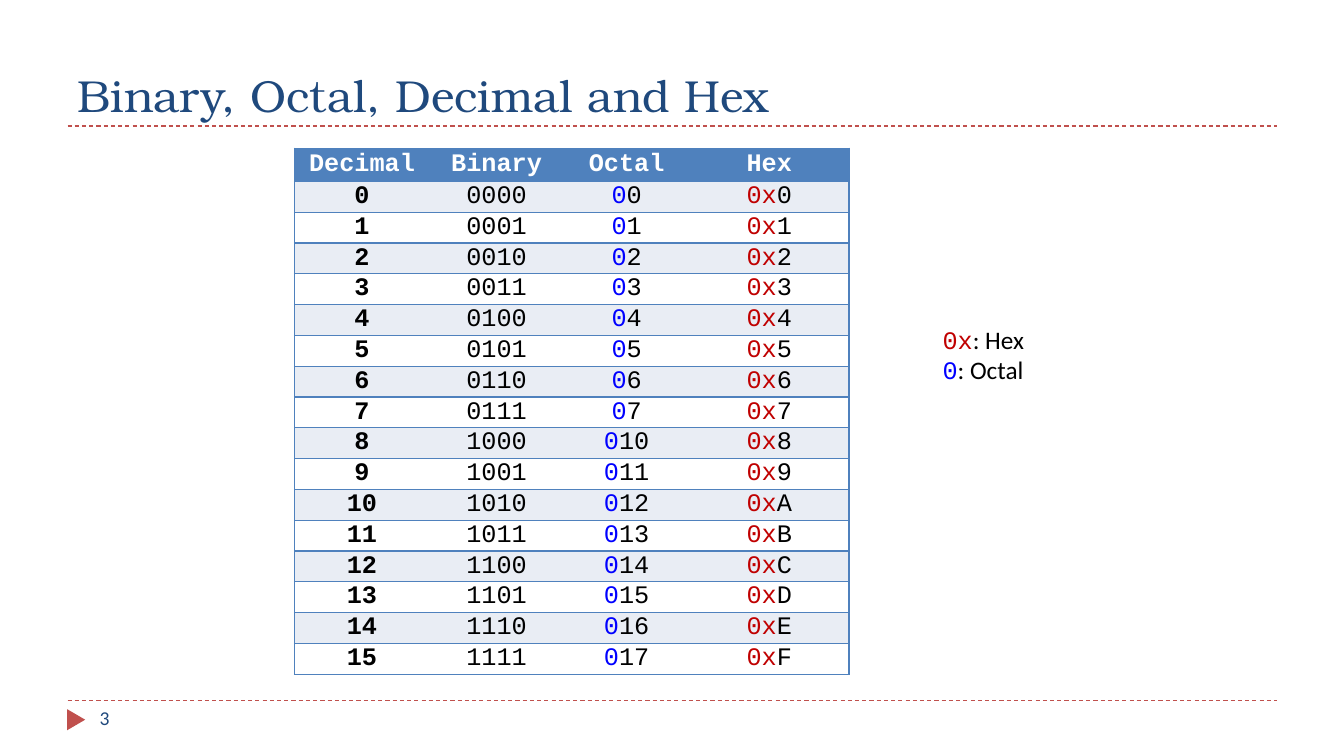
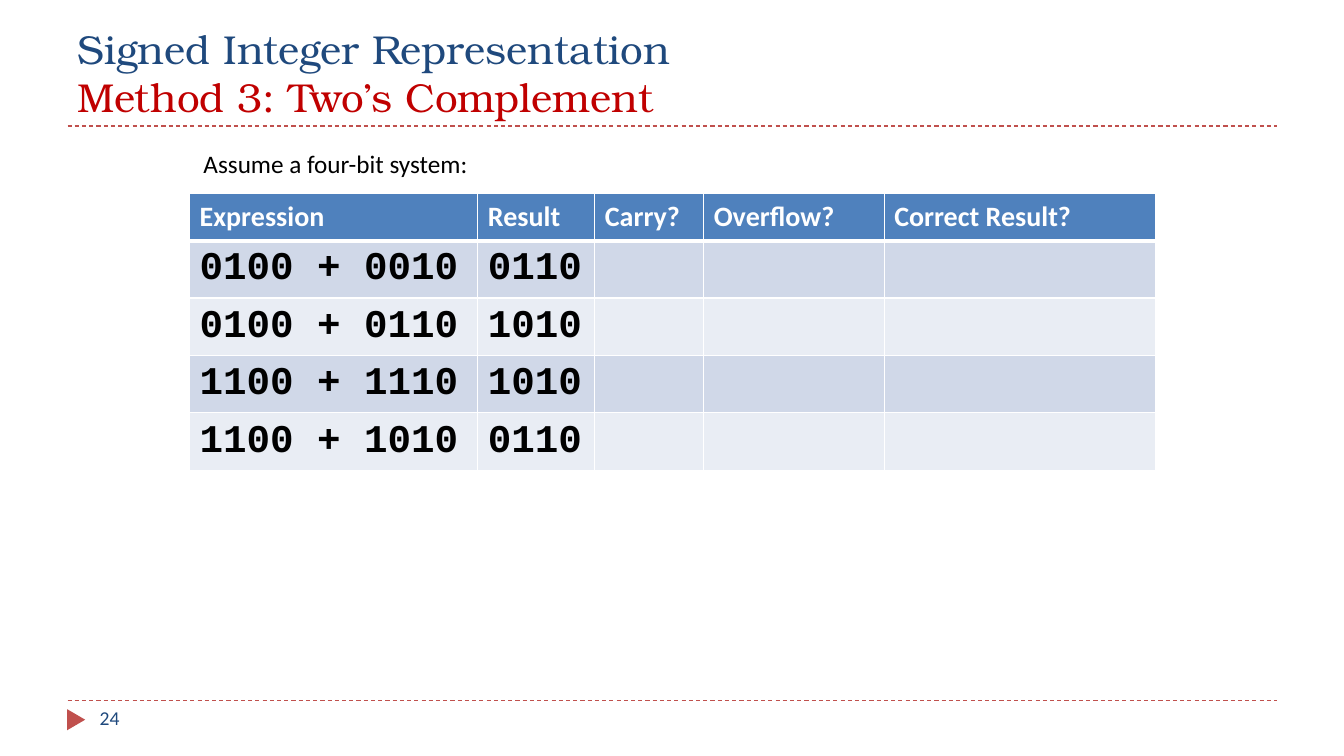
"""Build two slides on number systems and two's complement."""
import pptx
import pptx.dml.color
import pptx.enum.dml
import pptx.enum.shapes
import pptx.enum.text
import pptx.oxml
import pptx.oxml.ns
import pptx.util

Inches = pptx.util.Inches
Pt = pptx.util.Pt
ALIGN = pptx.enum.text.PP_ALIGN
ANCHOR = pptx.enum.text.MSO_ANCHOR

HUES = {
    "navy": "1F497D", "rule": "C0504D", "red": "C00000", "blue": "0000FF",
    "head": "4F81BD", "pale": "E9EDF4", "band": "D0D8E8",
    "white": "FFFFFF", "black": "000000",
}
SERIF, SANS, MONO = "TeX Gyre Bonum", "Calibri", "Courier New"
STYLES = {
    "title": (SERIF, 32, "navy", False),
    "upper": (SERIF, 28.8, "navy", False),
    "lower": (SERIF, 28.8, "red", False),
    "number": (SANS, 14, "navy", False),
    "note": (SANS, 18, "black", False),
    "base head": (MONO, 18, "white", True),
    "base key": (MONO, 18, "black", True),
    "digit": (MONO, 18, "black", False),
    "hex": (MONO, 18, "red", False),
    "octal": (MONO, 18, "blue", False),
    "sum head": (SANS, 20, "white", True),
    "sum": (MONO, 28, "black", True),
}

BASES = ["Decimal", "Binary", "Octal", "Hex"]
KEY = [[("0x", "hex"), (": Hex", "note")], [("0", "octal"), (": Octal", "note")]]
CHECKS = ["Expression", "Result", "Carry?", "Overflow?", "Correct Result?"]
SUMS = [
    ("0100 + 0010", "0110"),
    ("0100 + 0110", "1010"),
    ("1100 + 1110", "1010"),
    ("1100 + 1010", "0110"),
]


def color(name):
    return pptx.dml.color.RGBColor.from_string(HUES[name])


def write(para, runs):
    for text, style in runs:
        if text == "\n":
            para.add_line_break()
            continue
        run = para.add_run()
        run.text = text
        face, size, hue, bold = STYLES[style]
        run.font.name, run.font.size, run.font.bold = face, Pt(size), bold
        run.font.color.rgb = color(hue)


def label(slide, place, lines, wrap=True, anchor=ANCHOR.TOP):
    frame = slide.shapes.add_textbox(*map(Inches, place)).text_frame
    frame.word_wrap = wrap
    frame.vertical_anchor = anchor
    if not wrap:
        frame.auto_size = pptx.enum.text.MSO_AUTO_SIZE.SHAPE_TO_FIT_TEXT
    for i, runs in enumerate(lines):
        write(frame.add_paragraph() if i else frame.paragraphs[0], runs)


def start(deck, title, number):
    slide = deck.slides.add_slide(deck.slide_layouts[6])
    for y in (6.95, 1.25):
        rule = slide.shapes.add_connector(
            pptx.enum.shapes.MSO_CONNECTOR.STRAIGHT,
            Inches(0.67), Inches(y), Inches(12.67), Inches(y))
        rule.line.color.rgb = color("rule")
        rule.line.width = Pt(0.75)
        rule.line.dash_style = pptx.enum.dml.MSO_LINE.DASH
        rule._element.spPr.append(pptx.oxml.parse_xml(
            f"<a:effectLst {pptx.oxml.ns.nsdecls('a')}/>"))
    mark = slide.shapes.add_shape(
        pptx.enum.shapes.MSO_SHAPE.ISOSCELES_TRIANGLE,
        *map(Inches, (0.65, 7.05, 0.21, 0.18)))
    mark.rotation = 90
    mark.shadow.inherit = False
    mark.fill.solid()
    mark.fill.fore_color.rgb = color("rule")
    mark.line.fill.background()
    label(slide, (0.67, 0.17, 12, 1.08), [title], anchor=ANCHOR.BOTTOM)
    label(slide, (0.89, 6.95, 2.89, 0.4), [[(str(number), "number")]])
    return slide


def edge(cell, sides):
    for side in "LRTB":
        if side in sides:
            hue, width = sides[side]
            fill = f'<a:solidFill><a:srgbClr val="{HUES[hue]}"/></a:solidFill>'
        else:
            width, fill = 0, "<a:noFill/>"
        cell._tc.get_or_add_tcPr().append(pptx.oxml.parse_xml(
            f'<a:ln{side} {pptx.oxml.ns.nsdecls("a")} w="{Pt(width)}">'
            f"{fill}</a:ln{side}>"))


def grid(slide, spot, cols, tall, rows, fills, sides, align, pads):
    left, top = spot
    table = slide.shapes.add_table(
        len(rows), len(cols), Inches(left), Inches(top),
        Inches(sum(cols)), Inches(sum(tall))).table
    table.horz_banding = False
    for col, width in zip(table.columns, cols):
        col.width = Inches(width)
    for r, row in enumerate(rows):
        table.rows[r].height = Inches(tall[r])
        for c, runs in enumerate(row):
            cell = table.cell(r, c)
            edge(cell, sides(r, c))
            cell.fill.solid()
            cell.fill.fore_color.rgb = color(fills[(r - 1) % 2] if r else "head")
            cell.vertical_anchor = ANCHOR.MIDDLE
            cell.margin_left = cell.margin_right = Inches(pads[0])
            cell.margin_top = cell.margin_bottom = Inches(pads[1])
            para = cell.text_frame.paragraphs[0]
            para.alignment = align
            write(para, runs)


def frame(r, c):
    line = ("head", 1)
    sides = {"T": line, "B": line}
    if c == 0:
        sides["L"] = line
    if c == len(BASES) - 1:
        sides["R"] = line
    return sides


def mesh(r, c):
    sides = dict.fromkeys("LRTB", ("white", 1))
    if r < 2:
        sides["T" if r else "B"] = ("white", 3)
    return sides


def bases(deck):
    slide = start(deck, [("Binary, Octal, Decimal and Hex", "title")], 3)
    rows = [[[(name, "base head")] for name in BASES]]
    for n in range(16):
        rows.append([
            [(str(n), "base key")],
            [(f"{n:04b}", "digit")],
            [("0", "octal"), (f"{n:o}", "digit")],
            [("0x", "hex"), (f"{n:X}", "digit")],
        ])
    head, full = 0.33, 5.22
    tall = [head] + [(full - head) / 16] * 16
    grid(slide, (2.92, 1.47), [1.34, 1.33, 1.25, 1.58], tall,
         rows, ("pale", "white"), frame, ALIGN.CENTER, (0.07, 0))
    label(slide, (9.25, 3.17, 1.01, 0.71), KEY, wrap=False)


def signed(deck):
    title = [("Signed Integer Representation", "upper"), ("\n", "upper"),
             ("Method 3: Two’s Complement", "lower")]
    slide = start(deck, title, 24)
    rows = [[[(name, "sum head")] for name in CHECKS]]
    for pair in SUMS:
        blank = [[] for _ in CHECKS[len(pair):]]
        rows.append([[(text, "sum")] for text in pair] + blank)
    grid(slide, (1.88, 1.92), [2.86, 1.16, 1.08, 1.79, 2.69],
         [0.47, 0.54, 0.54, 0.54, 0.58], rows, ("band", "pale"), mesh,
         ALIGN.LEFT, (0.1, 0.05))
    label(slide, (1.92, 1.42, 2.84, 0.4),
          [[("Assume a four-bit system:", "note")]], wrap=False)


def main():
    deck = pptx.Presentation()
    deck.slide_width, deck.slide_height = Inches(13.33), Inches(7.5)
    bases(deck)
    signed(deck)
    deck.save("out.pptx")


if __name__ == "__main__":
    main()
